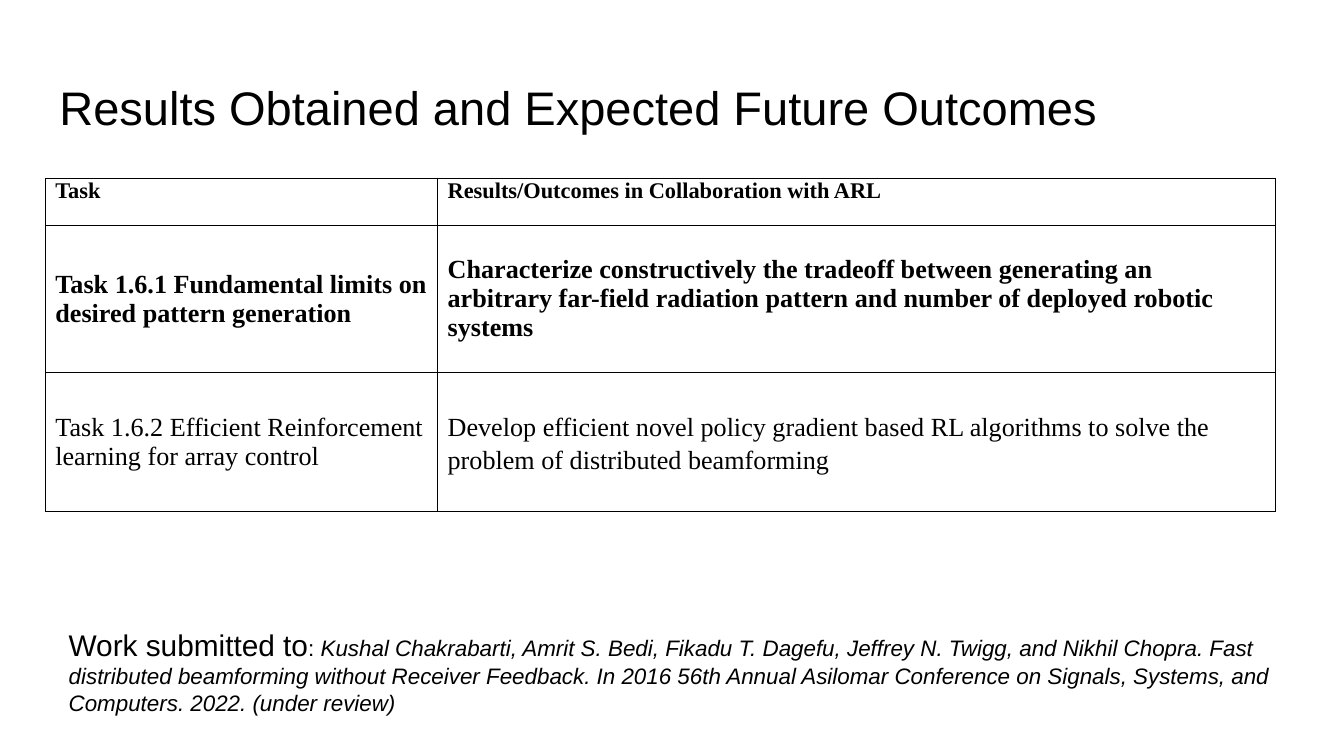
from pptx import Presentation
from pptx.dml.color import RGBColor
from pptx.enum.text import MSO_ANCHOR as Anchor
from pptx.oxml import parse_xml
from pptx.oxml.ns import nsdecls
from pptx.util import Pt

PX = 5715
BLACK = RGBColor(0, 0, 0)
WHITE = RGBColor(255, 255, 255)
SANS = "Arial"
SERIF = "Times New Roman"

COLS = [467, 997]
ROWS = [57, 174, 166]
CELLS = [
    ("Task", "Results/Outcomes in Collaboration with ARL"),
    ("Task 1.6.1 Fundamental limits on desired pattern generation",
     "Characterize constructively the tradeoff between generating an arbitrary "
     "far-field radiation pattern and number of deployed robotic systems"),
    ("Task 1.6.2 Efficient Reinforcement learning for array control",
     "Develop efficient novel policy gradient based RL algorithms to solve the "
     "problem of distributed beamforming"),
]
PAPER = (
    "Kushal Chakrabarti, Amrit S. Bedi, Fikadu T. Dagefu, Jeffrey N. Twigg, "
    "and Nikhil Chopra. Fast distributed beamforming without Receiver Feedback. "
    "In 2016 56th Annual Asilomar Conference on Signals, Systems, and Computers. "
    "2022. (under review)"
)


def px(*nums):
    return [n * PX for n in nums]


def style(font, size, name, bold=False, italic=False):
    font.size = Pt(size)
    font.name = name
    font.bold = bold
    font.italic = italic
    font.color.rgb = BLACK


def add_text(slide, box, parts, pad=None):
    frame = slide.shapes.add_textbox(*px(*box)).text_frame
    frame.word_wrap = True
    if pad is not None:
        frame.margin_top = frame.margin_bottom = pad * PX
        frame.margin_left = frame.margin_right = pad * PX
    para = frame.paragraphs[0]
    for text, size, italic in parts:
        run = para.add_run()
        run.text = text
        style(run.font, size, SANS, italic=italic)


def add_edges(cell):
    props = cell._tc.get_or_add_tcPr()
    for spot, side in enumerate("LRTB"):
        props.insert(spot, parse_xml(
            f'<a:ln{side} {nsdecls("a")} w="8000"><a:solidFill>'
            f'<a:srgbClr val="{BLACK}"/></a:solidFill></a:ln{side}>'))


def fill_cell(cell, text, size, bold, anchor):
    cell.text_frame.text = text
    style(cell.text_frame.paragraphs[0].runs[0].font, size, SERIF, bold)
    cell.vertical_anchor = anchor
    cell.margin_left = cell.margin_right = 12 * PX
    cell.margin_top = cell.margin_bottom = 0
    cell.fill.solid()
    cell.fill.fore_color.rgb = WHITE
    add_edges(cell)


def add_tasks(slide, left, top):
    box = px(left, top, sum(COLS), sum(ROWS))
    table = slide.shapes.add_table(len(ROWS), len(COLS), *box).table
    table.first_row = table.horz_banding = False
    for col, width in zip(table.columns, COLS):
        col.width = width * PX
    looks = [(12, True, Anchor.TOP), (14, True, Anchor.MIDDLE),
             (14, False, Anchor.MIDDLE)]
    for row, height, texts, look in zip(table.rows, ROWS, CELLS, looks):
        row.height = height * PX
        for cell, text in zip(row.cells, texts):
            fill_cell(cell, text, *look)
    table.cell(1, 1).margin_right = 14 * PX
    table.cell(2, 1).text_frame.paragraphs[0].line_spacing = 1.15


def main():
    deck = Presentation()
    deck.slide_width, deck.slide_height = px(1600, 900)
    slide = deck.slides.add_slide(deck.slide_layouts[6])
    title = "Results Obtained and Expected Future Outcomes"
    add_text(slide, (55, 78, 1491, 100), [(title, 25.2, False)], pad=16)
    add_tasks(slide, 54, 212)
    add_text(slide, (66, 738, 1510, 123), [
        ("Work submitted to", 16, False), (": ", 12, False), (PAPER, 12, True)])
    deck.save("out.pptx")


if __name__ == "__main__":
    main()
